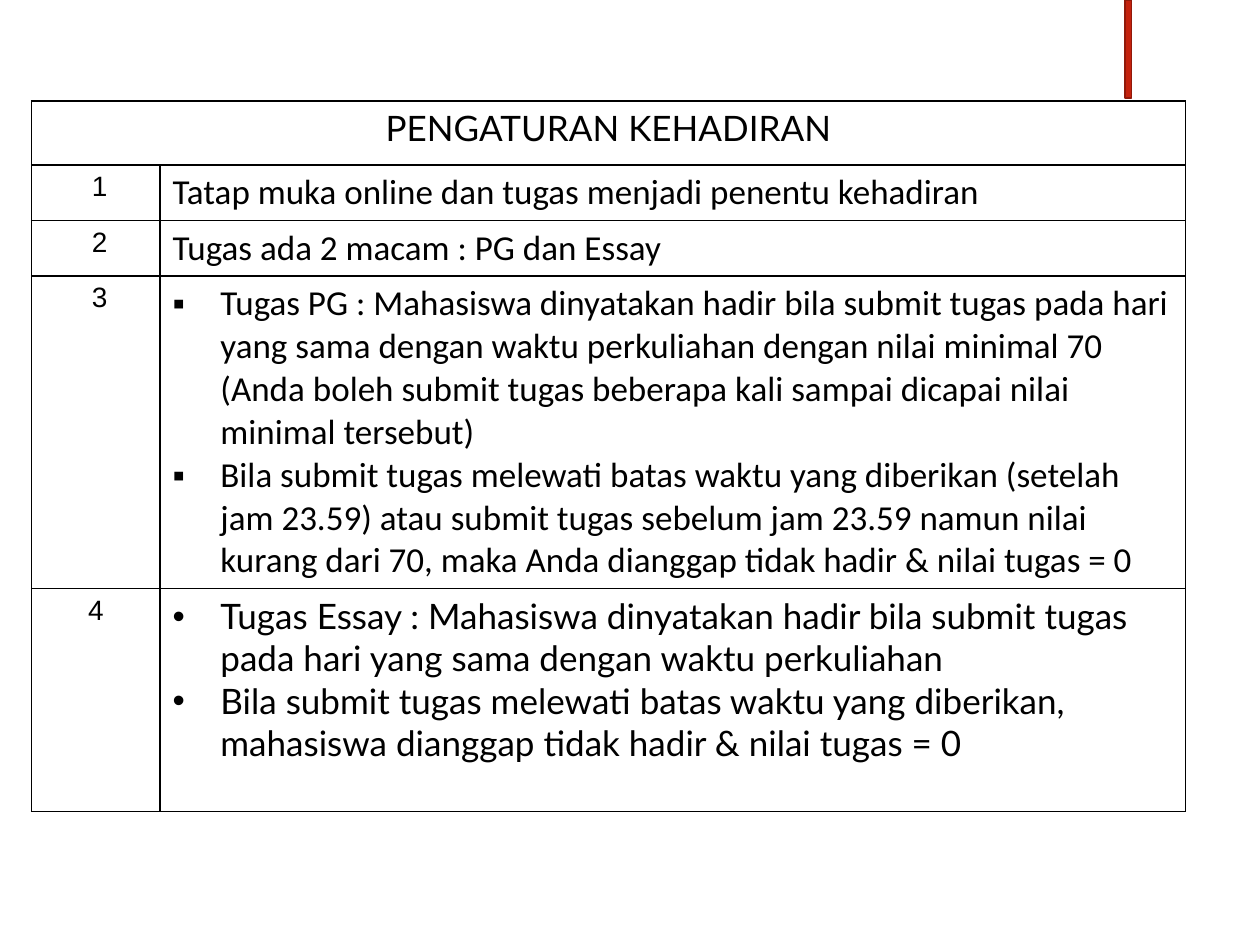
from dataclasses import dataclass

from pptx import Presentation
from pptx.dml.color import RGBColor as RGB
from pptx.enum.shapes import MSO_SHAPE as Shape
from pptx.enum.text import PP_ALIGN as Align
from pptx.oxml import parse_xml
from pptx.oxml.ns import nsdecls
from pptx.util import Inches, Pt


@dataclass(frozen=True)
class Theme:
    ink: str = "000000"
    red: str = "C4220D"
    edge: str = "91190A"
    head: str = "Lato"
    body: str = "Calibri"
    digit: str = "Arial"
    large: int = 20
    small: int = 16
    rule: int = 1


THEME = Theme()
RULES = [
    (" 1", 0.44, THEME.body, "", ["Tatap muka online dan tugas menjadi penentu kehadiran"]),
    (" 2", 0.44, THEME.body, "", ["Tugas ada 2 macam : PG dan Essay"]),
    (" 3", 2.48, THEME.body, "▪", [
        "Tugas PG : Mahasiswa dinyatakan hadir bila submit tugas pada hari yang sama "
        "dengan waktu perkuliahan dengan nilai minimal 70 (Anda boleh submit tugas "
        "beberapa kali sampai dicapai nilai minimal tersebut)",
        "Bila submit tugas melewati batas waktu yang diberikan (setelah jam 23.59) atau "
        "submit tugas sebelum jam 23.59 namun nilai kurang dari 70, maka Anda dianggap "
        "tidak hadir & nilai tugas = 0",
    ]),
    ("4", 1.77, THEME.head, "•", [
        "Tugas Essay : Mahasiswa dinyatakan hadir bila submit tugas pada hari yang sama "
        "dengan waktu perkuliahan",
        "Bila submit tugas melewati batas waktu yang diberikan, mahasiswa dianggap tidak "
        "hadir & nilai tugas = 0",
    ]),
]


class Deck:
    def __init__(self, theme):
        self.theme = theme
        self.file = Presentation()
        self.file.slide_width = Inches(10)
        self.file.slide_height = Inches(7.5)
        self.slide = self.file.slides.add_slide(self.file.slide_layouts[6])

    def bar(self, left, top, width, height):
        bar = self.slide.shapes.add_shape(
            Shape.RECTANGLE, Inches(left), Inches(top), Inches(width), Inches(height))
        bar.shadow.inherit = False
        bar.fill.solid()
        bar.fill.fore_color.rgb = RGB.from_string(self.theme.red)
        bar.line.color.rgb = RGB.from_string(self.theme.edge)
        bar.line.width = Pt(self.theme.rule)

    def grid(self, left, top, widths, heights):
        table = self.slide.shapes.add_table(
            len(heights), len(widths), Inches(left), Inches(top),
            Inches(sum(widths)), Inches(sum(heights))).table
        table.first_row = table.horz_banding = False
        for col, width in zip(table.columns, widths):
            col.width = Inches(width)
        for row, height in zip(table.rows, heights):
            row.height = Inches(height)
        for cell in table.iter_cells():
            cell.fill.background()
            self.border(cell)
        return table

    def border(self, cell):
        props = cell._tc.get_or_add_tcPr()
        for spot, side in enumerate("LRTB"):
            props.insert(spot, parse_xml(
                f'<a:ln{side} {nsdecls("a")} w="{Pt(self.theme.rule)}"><a:solidFill>'
                f'<a:srgbClr val="{self.theme.ink}"/></a:solidFill></a:ln{side}>'))

    def text(self, cell, lines, face, size, align=Align.LEFT, mark=""):
        frame = cell.text_frame
        for spot, line in enumerate(lines):
            para = frame.add_paragraph() if spot else frame.paragraphs[0]
            para.text = line
            para.alignment = align
            if mark:
                self.bullet(para, mark)
            para.font.name = face
            para.font.size = Pt(size)
            para.font.color.rgb = RGB.from_string(self.theme.ink)

    def bullet(self, para, mark):
        props = para._p.get_or_add_pPr()
        props.set("marL", str(Inches(0.38)))
        props.set("indent", str(-Inches(0.38)))
        props.append(parse_xml(f'<a:buFont {nsdecls("a")} typeface="Arial"/>'))
        props.append(parse_xml(f'<a:buChar {nsdecls("a")} char="{mark}"/>'))


def main():
    theme = THEME
    deck = Deck(theme)
    deck.bar(8.93, 0, 0.05, 0.78)
    table = deck.grid(0.25, 0.8, [1.02, 8.14], [0.51] + [rule[1] for rule in RULES])
    title = table.cell(0, 0)
    title.merge(table.cell(0, 1))
    deck.text(title, ["PENGATURAN KEHADIRAN"], theme.head, theme.large, Align.CENTER)
    for row, (digit, _, face, mark, lines) in enumerate(RULES, 1):
        deck.text(table.cell(row, 0), [digit], theme.digit, theme.small, Align.CENTER)
        deck.text(table.cell(row, 1), lines, face, theme.large, mark=mark)
    deck.file.save("out.pptx")


if __name__ == "__main__":
    main()
